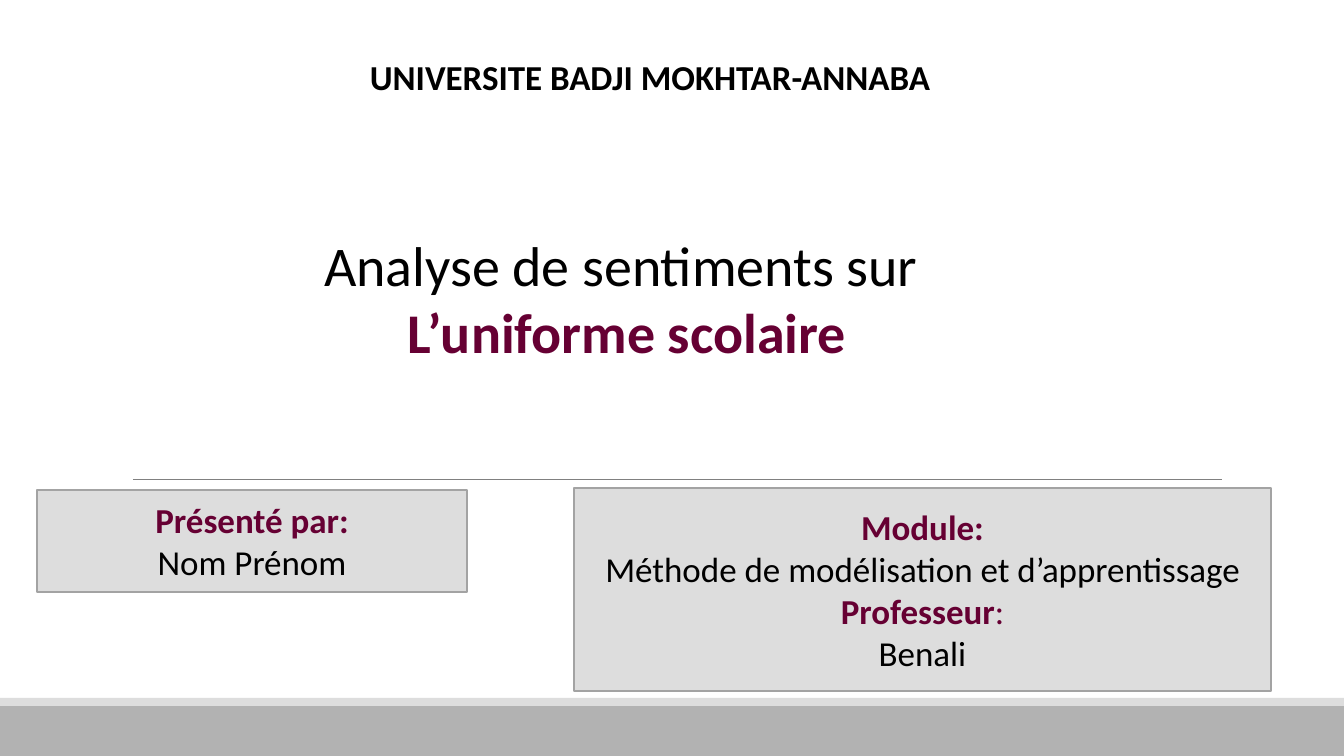
import pptx
import pptx.util
import pptx.dml.color
import pptx.enum.shapes
import pptx.enum.text
from dataclasses import dataclass
from lxml import etree

SLIDE_SIZE = (1344, 756)
EMU_PER_PX = 914400 / 100.8


@dataclass(frozen=True)
class Theme:
    font: str = "Calibri"
    ink: str = "000000"
    accent: str = "660033"
    panel: str = "DDDDDD"
    panel_edge: str = "A3A3A3"
    footer: str = "B2B2B2"
    rule: str = "808080"
    title_size: int = 40
    body_size: int = 25


THEME = Theme()

# Each paragraph is a list of spans: (text, colour, bold)
UNIVERSITY = [[("UNIVERSITE BADJI MOKHTAR-ANNABA", THEME.ink, True)]]
TITLE = [
    [("Analyse de sentiments sur", THEME.ink, False)],
    [("L’uniforme scolaire", THEME.accent, True)],
]
PRESENTER = [
    [("Présenté par:", THEME.accent, True)],
    [("Nom Prénom", THEME.ink, False)],
]
COURSE = [
    [("Module:", THEME.accent, True)],
    [("Méthode de modélisation et d’apprentissage", THEME.ink, False)],
    [("Professeur", THEME.accent, True), (":", THEME.accent, False)],
    [("Benali", THEME.ink, False)],
]

# Places in px: left, top, width, height
UNIVERSITY_AT = (360, 51, 588, 52)
TITLE_AT = (314, 225, 626, 146)
PANELS = [
    ((37, 490, 430, 102), PRESENTER),
    ((574, 488, 697, 203), COURSE),
]
BANDS = [
    ((0, 706, 1344, 50), THEME.footer),
    ((0, 698, 1344, 8), THEME.panel),
]
RULE_ENDS = (133, 479, 1222, 479)

ALIGN = pptx.enum.text.PP_ALIGN
ANCHOR = pptx.enum.text.MSO_ANCHOR


def px(*lengths):
    return [round(length * EMU_PER_PX) for length in lengths]


def rgb(colour):
    return pptx.dml.color.RGBColor.from_string(colour)


def write(shape, paragraphs, size, aligns, anchor):
    frame = shape.text_frame
    frame.word_wrap = True
    frame.auto_size = pptx.enum.text.MSO_AUTO_SIZE.NONE
    frame.vertical_anchor = anchor
    frame.text = "\n".join("".join(span[0] for span in spans) for spans in paragraphs)
    for para, spans, align in zip(frame.paragraphs, paragraphs, aligns):
        para.alignment = align
        para.runs[0].text = spans[0][0]
        for text, *_ in spans[1:]:
            para.add_run().text = text
        for run, (_, colour, bold) in zip(para.runs, spans):
            run.font.name = THEME.font
            run.font.size = pptx.util.Pt(size)
            run.font.bold = bold
            run.font.color.rgb = rgb(colour)


def add_rectangle(page, place, fill, edge=None):
    box = page.shapes.add_shape(pptx.enum.shapes.MSO_SHAPE.RECTANGLE, *px(*place))
    box.shadow.inherit = False
    box.fill.solid()
    box.fill.fore_color.rgb = rgb(fill)
    if edge:
        box.line.color.rgb = rgb(edge)
        box.line.width = pptx.util.Pt(1.25)
    else:
        box.line.fill.background()
    return box


def add_rule(page):
    rule = page.shapes.add_connector(
        pptx.enum.shapes.MSO_CONNECTOR.STRAIGHT, *px(*RULE_ENDS))
    rule.line.color.rgb = rgb(THEME.rule)
    rule.line.width = pptx.util.Pt(0.5)
    properties = rule._element.spPr
    etree.SubElement(properties, pptx.oxml.ns.qn("a:effectLst"))


def main():
    deck = pptx.Presentation()
    deck.slide_width, deck.slide_height = px(*SLIDE_SIZE)
    page = deck.slides.add_slide(deck.slide_layouts.get_by_name("Title Only"))

    for place, fill in BANDS:
        add_rectangle(page, place, fill)
    add_rule(page)

    heading = page.shapes.add_textbox(*px(*UNIVERSITY_AT))
    write(heading, UNIVERSITY, THEME.body_size, [ALIGN.LEFT], ANCHOR.TOP)

    title = page.shapes.title
    title.left, title.top, title.width, title.height = px(*TITLE_AT)
    write(title, TITLE, THEME.title_size, [ALIGN.LEFT, ALIGN.CENTER], ANCHOR.TOP)

    for place, paragraphs in PANELS:
        panel = add_rectangle(page, place, THEME.panel, THEME.panel_edge)
        write(panel, paragraphs, THEME.body_size,
              [ALIGN.CENTER] * len(paragraphs), ANCHOR.MIDDLE)

    deck.save("out.pptx")


if __name__ == "__main__":
    main()
